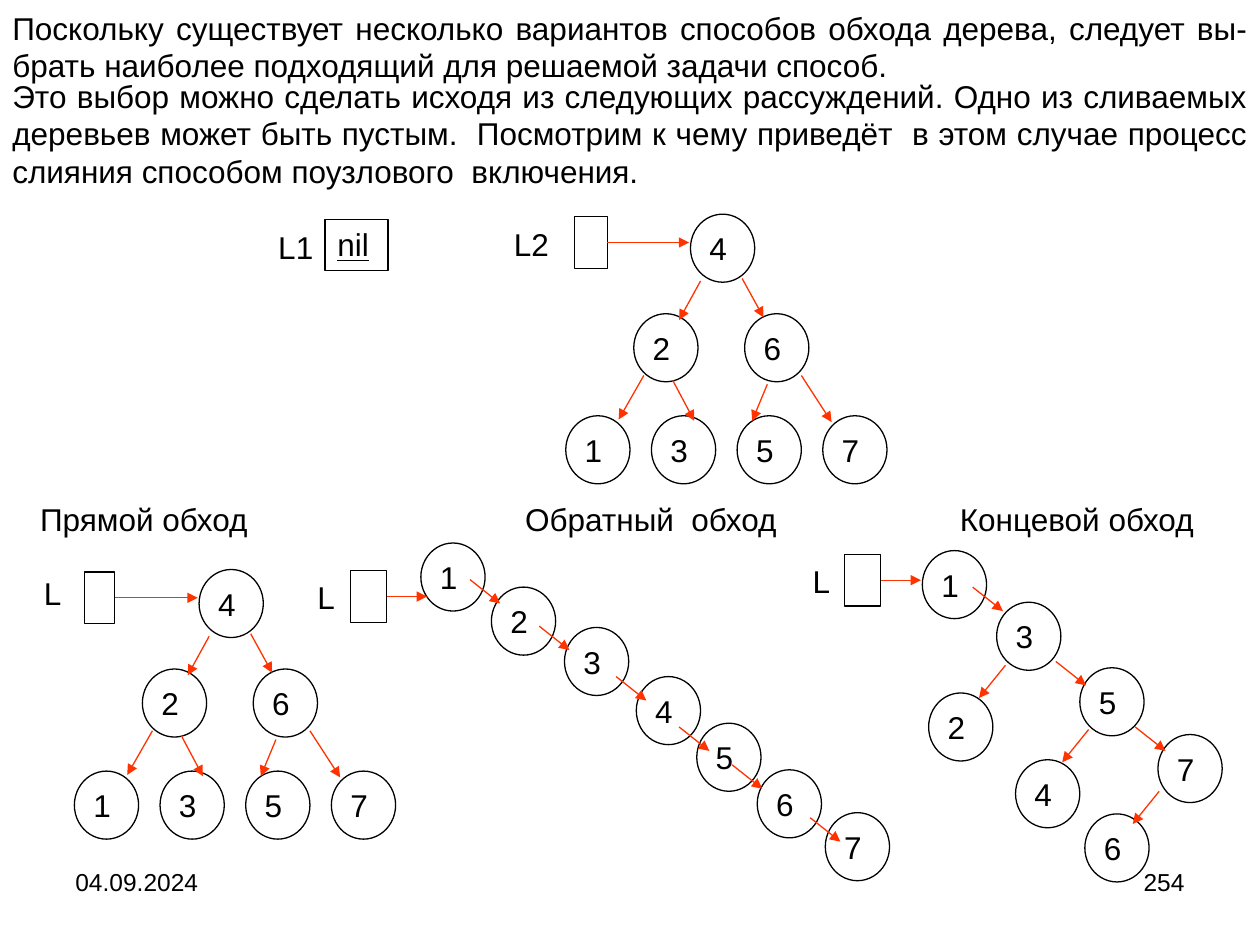
from lxml.etree import SubElement
from pptx import Presentation
from pptx.dml.color import RGBColor
from pptx.enum.shapes import MSO_CONNECTOR, MSO_SHAPE
from pptx.enum.text import MSO_ANCHOR, PP_ALIGN
from pptx.oxml.ns import qn
from pptx.util import Inches, Pt

BLACK = RGBColor(0x00, 0x00, 0x00)
ORANGE = RGBColor(0xFF, 0x33, 0x00)
FONT = "Arial"
NODE_WIDTH, NODE_HEIGHT = 0.51, 0.54
CELL_HEIGHT = 0.41
RIGHT_STEP = (0.24, 0.19)
LEFT_STEP = (-0.21, 0.26)

PARAGRAPHS = [
    (0.02, 0.7, "Поскольку существует несколько вариантов способов обхода дерева, "
     "следует вы-брать наиболее подходящий для решаемой задачи способ. "),
    (0.56, 1, "Это выбор можно сделать исходя из следующих рассуждений. "
     "Одно из сливаемых деревьев может быть пустым.  Посмотрим к чему приведёт  "
     "в этом случае процесс слияния способом поузлового  включения. "),
]
HEADINGS = [
    (0.22, 2.07, "Прямой обход"),
    (4.07, 2.24, "Обратный  обход"),
    (7.52, 2.39, "Концевой обход"),
]

TREE_NODES = {4: (0.99, 0), 2: (0.54, 0.79), 6: (1.42, 0.79)}
TREE_NODES.update({key: (0.68 * place, 1.6) for place, key in enumerate((1, 3, 5, 7))})
TREE_ARROWS = [
    ((1.07, 0.53), (0.9, 0.84)),
    ((1.4, 0.51), (1.57, 0.82)),
    ((0.62, 1.28), (0.42, 1.63)),
    ((0.85, 1.32), (1.02, 1.64)),
    ((1.6, 1.35), (1.48, 1.64)),
    ((1.87, 1.28), (2.11, 1.65)),
]

CHAIN_NODES = {1: (3.34, 4.31), 2: (3.9, 4.66), 3: (4.48, 4.98), 4: (5.05, 5.37),
               5: (5.53, 5.74), 6: (6.01, 6.11), 7: (6.55, 6.45)}
CHAIN_STARTS = [(3.73, 4.6), (4.28, 4.97), (4.89, 5.37),
                (5.39, 5.77), (5.81, 6.07), (6.43, 6.49)]

POSTORDER_NODES = {1: (7.32, 4.37), 2: (7.37, 5.5), 3: (7.91, 4.78), 4: (8.06, 6.03),
                   5: (8.57, 5.3), 6: (8.61, 6.46), 7: (9.19, 5.83)}
POSTORDER_RIGHT_STARTS = [(7.72, 4.66), (8.38, 5.25), (9.01, 5.77)]
POSTORDER_LEFT_STARTS = [(7.98, 5.28), (8.64, 5.79), (9.2, 6.28)]


def write_text(shape, text, size=18, align=PP_ALIGN.LEFT, underline=None):
    """Write one formatted run into a shape."""
    para = shape.text_frame.paragraphs[0]
    para.alignment = align
    span = para.add_run()
    span.text = text
    span.font.name = FONT
    span.font.size = Pt(size)
    span.font.color.rgb = BLACK
    span.font.underline = underline


def add_text(slide, left, top, width, height, text, size=18, align=PP_ALIGN.LEFT):
    """Add a wrapping text box."""
    box = slide.shapes.add_textbox(Inches(left), Inches(top), Inches(width), Inches(height))
    box.text_frame.word_wrap = True
    write_text(box, text, size, align)


def add_outline(slide, kind, left, top, width, height):
    """Add an unfilled preset shape with a thin black outline."""
    shape = slide.shapes.add_shape(kind, Inches(left), Inches(top), Inches(width), Inches(height))
    shape.shadow.inherit = False
    shape.fill.background()
    shape.line.color.rgb = BLACK
    shape.line.width = Pt(0.75)
    shape.text_frame.vertical_anchor = MSO_ANCHOR.TOP
    return shape


def add_nodes(slide, nodes, left=0, top=0):
    """Add numbered circles, shifted by the given offset."""
    for key, (x, y) in nodes.items():
        node = add_outline(slide, MSO_SHAPE.OVAL, left + x, top + y, NODE_WIDTH, NODE_HEIGHT)
        node.text_frame.word_wrap = False
        node.text_frame.vertical_anchor = MSO_ANCHOR.MIDDLE
        write_text(node, f"{key} ", align=PP_ALIGN.CENTER)


def add_arrow(slide, start, end):
    """Add a thin orange arrow between two points."""
    arrow = slide.shapes.add_connector(
        MSO_CONNECTOR.STRAIGHT, *(Inches(value) for value in (*start, *end)))
    arrow.line.color.rgb = ORANGE
    arrow.line.width = Pt(0.75)
    SubElement(arrow.line._get_or_add_ln(), qn("a:tailEnd"), type="triangle")
    SubElement(arrow._element.spPr, qn("a:effectLst"))
    return arrow


def add_step_arrows(slide, starts, step):
    """Add arrows of one direction and length from each start."""
    for x, y in starts:
        add_arrow(slide, (x, y), (x + step[0], y + step[1]))


def add_pointer(slide, label, label_at, cell_at, cell_width, target):
    """Add a labelled pointer cell with an arrow to the root node."""
    left, top = cell_at
    add_text(slide, *label_at, 0.48, 0.4, label)
    cell = add_outline(slide, MSO_SHAPE.RECTANGLE, left, top, cell_width, CELL_HEIGHT)
    middle = top + CELL_HEIGHT / 2
    arrow = add_arrow(slide, (left + cell_width, middle), (target, middle))
    arrow.begin_connect(cell, 3)


def add_balanced_tree(slide, left, top):
    """Add the balanced seven-node tree at an offset."""
    add_nodes(slide, TREE_NODES, left, top)
    for start, end in TREE_ARROWS:
        add_arrow(slide, (left + start[0], top + start[1]), (left + end[0], top + end[1]))


def add_empty_list(slide):
    """Add the L1 pointer that holds nil."""
    add_text(slide, 2.11, 1.76, 0.48, 0.4, "L1")
    cell = add_outline(slide, MSO_SHAPE.RECTANGLE, 2.58, 1.74, 0.5, CELL_HEIGHT)
    write_text(cell, "nil", underline=True)


def main():
    """Build the slide on tree traversal orders."""
    deck = Presentation()
    deck.slide_width, deck.slide_height = Inches(10), Inches(7.5)
    page = deck.slides.add_slide(deck.slide_layouts[6])

    for top, height, text in PARAGRAPHS:
        add_text(page, 0, top, 10, height, text, align=PP_ALIGN.JUSTIFY)
    for left, width, text in HEADINGS:
        add_text(page, left, 3.92, width, 0.4, text)

    add_empty_list(page)
    add_balanced_tree(page, 4.49, 1.7)
    add_pointer(page, "L2", (3.98, 1.74), (4.56, 1.72), 0.26, 5.47)

    add_balanced_tree(page, 0.59, 4.52)
    add_pointer(page, "L", (0.25, 4.51), (0.67, 4.54), 0.24, 1.57)

    add_nodes(page, CHAIN_NODES)
    add_step_arrows(page, CHAIN_STARTS, RIGHT_STEP)
    add_pointer(page, "L", (2.42, 4.54), (2.78, 4.53), 0.29, 3.39)

    add_nodes(page, POSTORDER_NODES)
    add_step_arrows(page, POSTORDER_RIGHT_STARTS, RIGHT_STEP)
    add_step_arrows(page, POSTORDER_LEFT_STARTS, LEFT_STEP)
    add_pointer(page, "L", (6.35, 4.41), (6.7, 4.4), 0.29, 7.31)

    add_text(page, 0.5, 6.83, 2.33, 0.52, "04.09.2024", size=14)
    add_text(page, 7.17, 6.83, 2.33, 0.52, "254", size=14, align=PP_ALIGN.RIGHT)
    deck.save("out.pptx")


if __name__ == "__main__":
    main()
